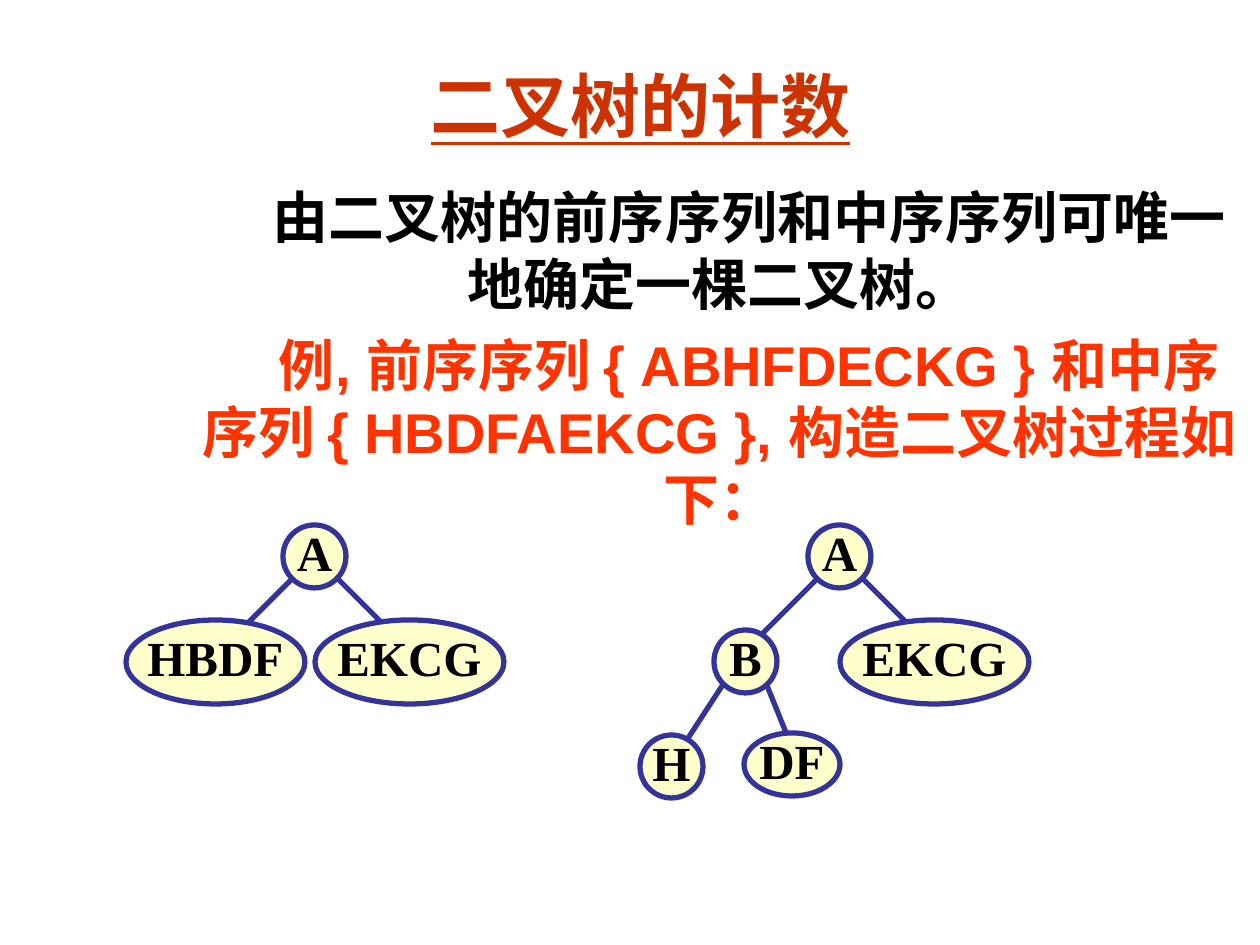
from lxml import etree
from pptx import Presentation
from pptx.dml.color import RGBColor
from pptx.enum.shapes import MSO_CONNECTOR, MSO_SHAPE
from pptx.enum.text import MSO_ANCHOR, MSO_AUTO_SIZE, PP_ALIGN
from pptx.oxml.ns import qn
from pptx.util import Pt

OVAL = MSO_SHAPE.OVAL
LINE = MSO_CONNECTOR.STRAIGHT
CENTER = PP_ALIGN.CENTER
MIDDLE = MSO_ANCHOR.MIDDLE
TOP = MSO_ANCHOR.TOP
FIXED = MSO_AUTO_SIZE.NONE
SCALE = 914400 / 126

COLORS = {"title": "CC3300", "text": "000000", "example": "FF3300",
          "node": "FFFFCC", "edge": "333399"}

TITLE = "二叉树的计数"
BODY = [
    ("由二叉树的前序序列和中序序列可唯一地确定一棵二叉树。", "text"),
    ("例, 前序序列 { ABHFDECKG } 和中序序列 { HBDFAEKCG }, 构造二叉树过程如下：",
     "example"),
]
INDENT = 60
LIFT = 10  # bottom inset that raises node labels

# node: label, left, top, width, height; edge: x1, y1, x2, y2
TREES = [
    {"nodes": [("A", 283, 525, 63, 63),
               ("HBDF", 126, 620, 179, 84),
               ("EKCG", 315, 620, 189, 84)],
     "edges": [(336, 577, 399, 640), (294, 577, 231, 640)]},
    {"nodes": [("A", 808, 525, 63, 63),
               ("EKCG", 840, 620, 189, 84),
               ("B", 714, 630, 63, 63),
               ("H", 640, 735, 63, 63),
               ("DF", 744, 733, 96, 63)],
     "edges": [(766, 683, 787, 735), (724, 683, 683, 746),
               (819, 577, 756, 640), (861, 577, 924, 640)]},
]


def px(*sizes):
    """Turn px lengths into EMU."""
    return [round(size * SCALE) for size in sizes]


def color(name):
    return RGBColor.from_string(COLORS[name])


def set_frame(frame, insets, anchor, wrap=True):
    frame.auto_size = FIXED
    frame.word_wrap = wrap
    frame.vertical_anchor = anchor
    (frame.margin_left, frame.margin_top,
     frame.margin_right, frame.margin_bottom) = px(*insets)


def add_run(para, text, size, face, tint):
    para.alignment = CENTER
    run = para.add_run()
    run.text = text
    font = run.font
    font.size, font.name, font.bold = Pt(size), face, True
    font.color.rgb = color(tint)
    return run


def style_line(line):
    line.color.rgb = color("edge")
    line.width = Pt(3)


def add_edge(slide, ends):
    edge = slide.shapes.add_connector(LINE, *px(*ends))
    style_line(edge.line)
    etree.SubElement(edge._element.spPr, qn("a:effectLst"))


def add_node(slide, label, *place):
    node = slide.shapes.add_shape(OVAL, *px(*place))
    node.shadow.inherit = False
    node.fill.solid()
    node.fill.fore_color.rgb = color("node")
    style_line(node.line)
    frame = node.text_frame
    set_frame(frame, (0, 0, 0, LIFT), MIDDLE, wrap=False)
    add_run(frame.paragraphs[0], label, 28, "Times New Roman", "text")


def add_title(slide):
    title = slide.shapes.title
    title.left, title.top, title.width, title.height = px(378, 63, 525, 84)
    frame = title.text_frame
    set_frame(frame, (13, 6, 13, 6), MIDDLE)
    run = add_run(frame.paragraphs[0], TITLE, 40, "Arial", "title")
    run.font.underline = True


def add_body(slide):
    frame = slide.shapes.add_textbox(*px(179, 176, 1081, 210)).text_frame
    set_frame(frame, (13, 6, 13, 6), TOP)
    for i, (text, tint) in enumerate(BODY):
        para = frame.add_paragraph() if i else frame.paragraphs[0]
        if i:
            para.space_before = Pt(8)
        para._p.get_or_add_pPr().set("indent", str(px(INDENT)[0]))
        add_run(para, text, 32, "Arial", tint)


def main():
    deck = Presentation()
    deck.slide_width, deck.slide_height = px(1260, 945)
    slide = deck.slides.add_slide(deck.slide_layouts[5])
    add_title(slide)
    add_body(slide)
    for tree in TREES:
        for ends in tree["edges"]:
            add_edge(slide, ends)
        for node in tree["nodes"]:
            add_node(slide, *node)
    deck.save("out.pptx")


if __name__ == "__main__":
    main()
